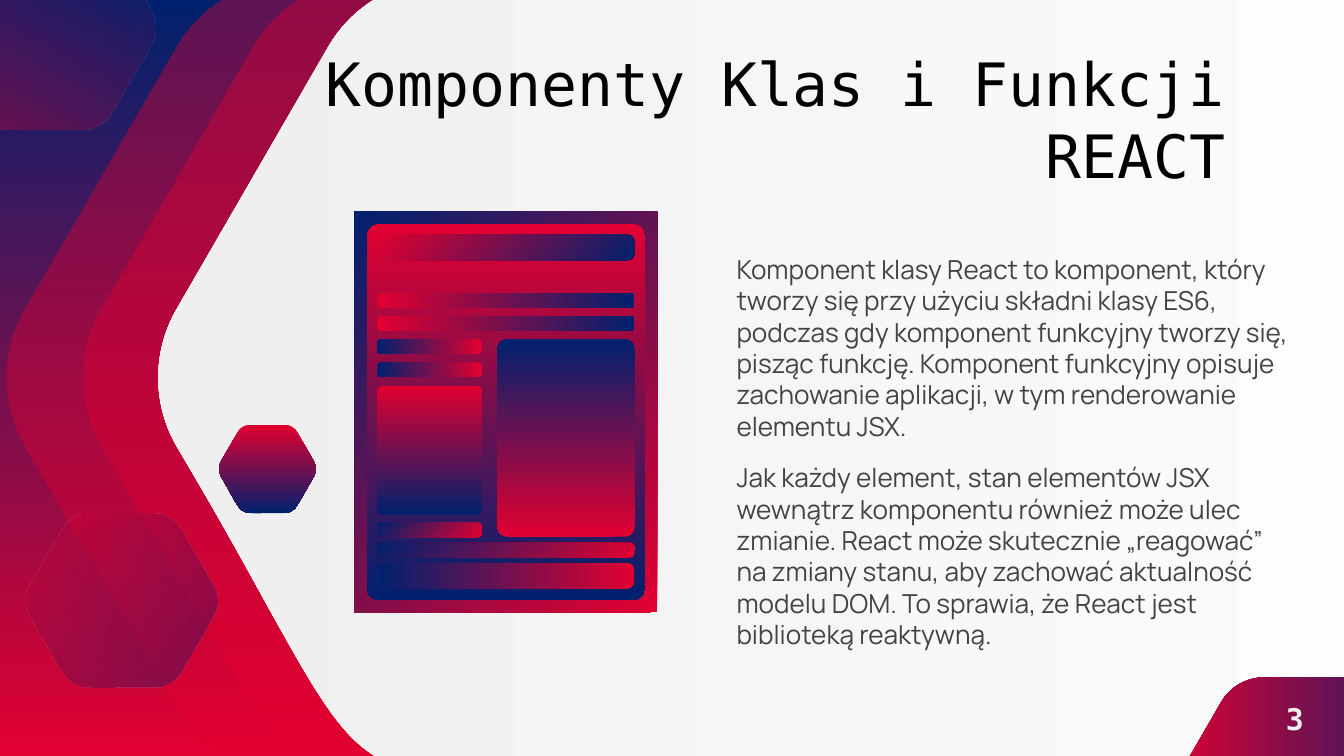
from dataclasses import dataclass

from lxml import etree
from pptx import Presentation
from pptx import util as u
from pptx.dml.color import RGBColor
from pptx.enum import shapes, text
from pptx.oxml import ns

Pt = u.Pt

NAVY = RGBColor(0x00, 0x21, 0x6E)
RED = RGBColor(0xE2, 0x00, 0x30)
WHITE = RGBColor(0xFF, 0xFF, 0xFF)
PALE = RGBColor(0xEF, 0xEF, 0xEF)
BLACK = RGBColor(0x00, 0x00, 0x00)
GREY = RGBColor(0x43, 0x43, 0x43)

MONO, SANS = "DejaVu Sans Mono", "Manrope"
HEX_WIDTH, HEX_HEIGHT, STRETCH_FROM = 476, 428, 205

HEX_START = (158.4, 0)
HEX_SEGMENTS = [
    [(131.8, 0), (106.6, 14.4), (93.6, 38.2)],
    [(13.7, 176.4)],
    [(0, 199.4), (0, 228.2), (13.7, 251.3)],
    [(33.8, 285.1), (49, 312.5), (61.2, 334.8)],
    [(107.3, 417.6), (113, 428), (187.2, 428)],
    [(197.3, 428), (208.1, 428), (221, 427.3)],
    [(237.6, 427.3), (257, 427.3), (279.4, 427.3)],
    [(290.9, 427.3), (303.8, 427.3), (317.5, 427.3)],
    [(344.2, 427.3), (369.4, 412.6), (382.3, 389.5)],
    [(462.2, 251.3)],
    [(476, 228.2), (476, 199.4), (462.2, 176.4)],
    [(382.3, 38.2)],
    [(369.4, 14.4), (344.2, 0), (317.5, 0)],
]


@dataclass
class Paint:
    start: RGBColor
    end: RGBColor
    angle: float = 0
    opacity: tuple = ()


@dataclass
class Hexagon:
    left: float
    top: float
    width: float
    height: float
    paint: Paint
    stretch: float = 0
    flip_x: bool = False
    flip_y: bool = False


@dataclass
class Block:
    left: float
    top: float
    width: float
    height: float
    angle: float
    corner: float = 0.287


def apply(target, formats: dict) -> None:
    for name, value in formats.items():
        setattr(target, name, value)


def fill_gradient(fill, paint: Paint) -> None:
    fill.gradient()
    fill.gradient_angle = 360 - paint.angle
    for stop, color in zip(fill.gradient_stops, (paint.start, paint.end)):
        stop.color.rgb = color


def add_opacity(shape, opacity: tuple) -> None:
    colors = shape._element.spPr.findall(".//" + ns.qn("a:srgbClr"))
    for color, percent in zip(colors, opacity):
        etree.SubElement(color, ns.qn("a:alpha"), val=str(percent * 1000))


def paint_shape(shape, paint: Paint) -> None:
    if paint.start == paint.end:
        shape.fill.solid()
        shape.fill.fore_color.rgb = paint.start
    else:
        fill_gradient(shape.fill, paint)
    shape.line.fill.background()
    shape.shadow.inherit = False
    add_opacity(shape, paint.opacity)


def bend_segments(shape) -> None:
    lines = iter(shape._element.spPr.findall(".//" + ns.qn("a:lnTo")))
    for segment in HEX_SEGMENTS:
        steps = [next(lines) for _ in segment]
        if len(steps) == 3:
            curve = etree.Element(ns.qn("a:cubicBezTo"))
            steps[0].addprevious(curve)
            for step in steps:
                curve.append(step[0])
                step.getparent().remove(step)


def draw_hexagon(slide, hexagon: Hexagon) -> None:
    points = []
    for x, y in [HEX_START, *(point for segment in HEX_SEGMENTS for point in segment)]:
        x = HEX_WIDTH - x if hexagon.flip_x else x
        y = HEX_HEIGHT - y if hexagon.flip_y else y
        shift = hexagon.stretch if x > STRETCH_FROM else 0
        points.append((
            Pt(hexagon.left + x * hexagon.width / HEX_WIDTH + shift),
            Pt(hexagon.top + y * hexagon.height / HEX_HEIGHT),
        ))
    builder = slide.shapes.build_freeform(*points[0])
    builder.add_line_segments(points[1:], close=True)
    shape = builder.convert_to_shape()
    bend_segments(shape)
    paint_shape(shape, hexagon.paint)


def draw_block(group, block: Block) -> None:
    kind = shapes.MSO_SHAPE.ROUNDED_RECTANGLE if block.corner else shapes.MSO_SHAPE.RECTANGLE
    box = (Pt(v) for v in (block.left, block.top, block.width, block.height))
    shape = group.shapes.add_shape(kind, *box)
    if block.corner:
        shape.adjustments[0] = block.corner
    paint_shape(shape, Paint(RED, NAVY, block.angle))


def write(shape, content: str, font: dict, color: RGBColor, paragraph: dict, anchor) -> None:
    frame = shape.text_frame
    apply(frame, {
        "word_wrap": True, "auto_size": text.MSO_AUTO_SIZE.NONE, "vertical_anchor": anchor,
        **{f"margin_{side}": Pt(7.2) for side in ("left", "top", "right", "bottom")},
    })
    apply(frame.paragraphs[0], paragraph)
    run = frame.paragraphs[0].add_run()
    run.text = content
    apply(run.font, font)
    run.font.color.rgb = color


def main() -> None:
    deck = Presentation()
    apply(deck, {"slide_width": Pt(720), "slide_height": Pt(405)})
    slide = deck.slides.add_slide(deck.slide_layouts[5])
    fill_gradient(slide.background.fill, Paint(NAVY, RED, 90))

    band = Paint(RED, RED, 0, (41,))
    hexagons = [
        Hexagon(0, -11.5, 476, 428, band),
        Hexagon(41, -11.5, 476, 428, band),
        Hexagon(81.4, -11.5, 476, 428, Paint(WHITE, PALE, 180), stretch=300),
        Hexagon(13, 275, 104.4, 93.6, Paint(RED, NAVY, 45, (43, 40))),
        Hexagon(-38.2, -40.3, 122.4, 109.8, Paint(RED, NAVY, 315, (43, 40)), flip_y=True),
        Hexagon(117, 227.5, 52.6, 47.5, Paint(RED, NAVY, 90)),
        Hexagon(620, 362.9, 172.8, 154.8, Paint(RED, NAVY)),
    ]
    for hexagon in hexagons[:2]:
        hexagon.flip_x = True
    for hexagon in hexagons:
        draw_hexagon(slide, hexagon)

    title = slide.shapes.title
    title._element.getparent().append(title._element)
    apply(title, {"left": Pt(163.4), "top": Pt(42.5), "width": Pt(500.4), "height": Pt(42.5)})
    write(title, "Komponenty Klas i Funkcji REACT", {"name": MONO, "size": Pt(32)}, BLACK,
          {"alignment": text.PP_ALIGN.RIGHT}, text.MSO_ANCHOR.MIDDLE)

    left, wide, narrow, thin, thick = 202, 138, 56.2, 7.9, 13.7
    upper = [157 + 12.4 * row for row in range(5)]
    lower = [280 + 10.8 * row for row in range(3)]
    blocks = [
        Block(190, 113.5, 162, 214.6, 225, 0),
        Block(196.6, 120, 149, 201.6, 90, 0.045),
        Block(left, 125.7, wide, thick, 45),
        *(Block(left, top, wide, thin, 0) for top in upper[:2]),
        Block(266.4, upper[2], 73.7, 105.8, 270, 0.077),
        *(Block(left, top, narrow, thin, 180) for top in upper[2:4]),
        Block(left, lower[2], wide, thick, 180),
        Block(left, lower[1], wide, thin, 225),
        Block(left, lower[0], narrow, thin, 225),
        Block(left, upper[4], narrow, 69.1, 90, 0.057),
    ]
    wireframe = slide.shapes.add_group_shape()
    for block in blocks:
        draw_block(wireframe, block)

    body = {"name": SANS, "size": Pt(14)}
    definition = (
        "Komponent klasy React to komponent, który tworzy się przy użyciu składni klasy ES6, "
        "podczas gdy komponent funkcyjny tworzy się, pisząc funkcję. Komponent funkcyjny "
        "opisuje zachowanie aplikacji, w tym renderowanie elementu JSX."
    )
    reactivity = (
        "Jak każdy element, stan elementów JSX wewnątrz komponentu również może ulec zmianie. "
        "React może skutecznie „reagować” na zmiany stanu, aby zachować aktualność modelu DOM. "
        "To sprawia, że React jest biblioteką reaktywną."
    )
    for content, top, height, spacing in (
        (definition, 128.5, 145.4, {"space_after": Pt(16)}),
        (reactivity, 240.1, 129.6, {}),
    ):
        passage = slide.shapes.add_textbox(Pt(387.5), Pt(top), Pt(312.5), Pt(height))
        write(passage, content, body, GREY, spacing, text.MSO_ANCHOR.TOP)

    page_number = slide.shapes.add_textbox(Pt(667.4), Pt(362.9), Pt(52.6), Pt(44.6))
    write(page_number, "3", {"name": MONO, "size": Pt(16), "bold": True}, PALE,
          {"alignment": text.PP_ALIGN.CENTER}, text.MSO_ANCHOR.MIDDLE)

    deck.save("out.pptx")


if __name__ == "__main__":
    main()
